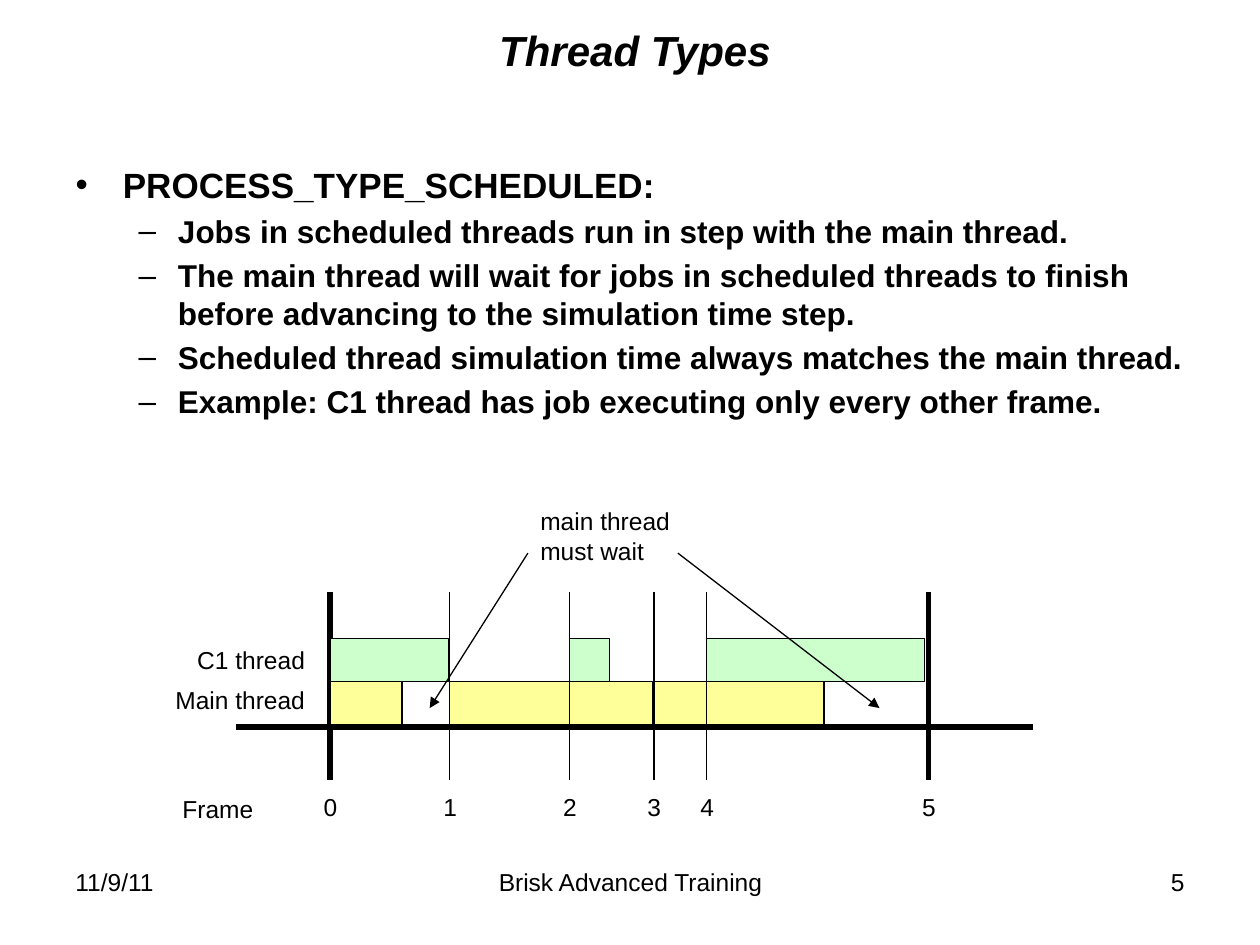
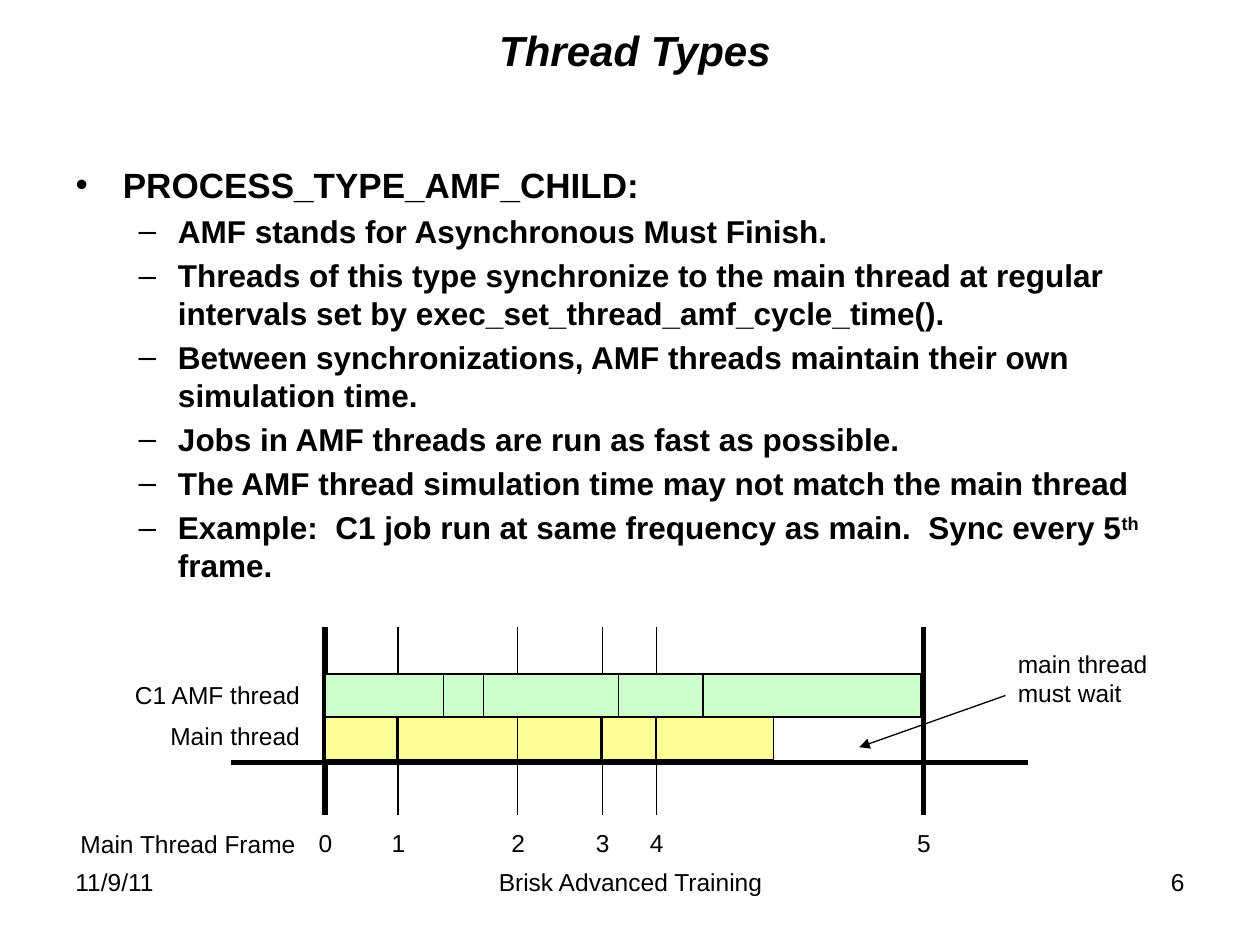
"""Builds two slides on thread types, each with a list and a frame timeline."""
from itertools import accumulate

from lxml.etree import SubElement
from pptx import Presentation
from pptx.dml.color import RGBColor
from pptx.enum.shapes import MSO_CONNECTOR, MSO_SHAPE
from pptx.enum.text import MSO_ANCHOR, MSO_AUTO_SIZE, PP_ALIGN
from pptx.oxml.ns import qn
from pptx.util import Inches, Pt

BLACK = RGBColor(0x00, 0x00, 0x00)
YELLOW = RGBColor(0xFF, 0xFF, 0x99)
GREEN = RGBColor(0xCC, 0xFF, 0xCC)
FONT = "Arial"
THIN, THICK = 0.75, 3
ROW_HEIGHT = 0.34
MAIN_DURATIONS = [0.57, 0.95, 0.66, 0.42, 0.93]


class ThreadDeck:
    """Holds the deck, its shared style and the current slide."""

    def __init__(self):
        self.deck = Presentation()
        self.deck.slide_width, self.deck.slide_height = Inches(10), Inches(7.5)
        self.page = None

    def add_page(self, title, number):
        """Start a slide with its title and footers."""
        self.page = self.deck.slides.add_slide(self.deck.slide_layouts[1])
        box = self.page.shapes.title
        self.place(box, 1, 0.17, 8.08, 0.45)
        box.text_frame.vertical_anchor = MSO_ANCHOR.MIDDLE
        box.text_frame.auto_size = MSO_AUTO_SIZE.NONE
        para = box.text_frame.paragraphs[0]
        para.alignment = PP_ALIGN.CENTER
        self.add_span(para, title, 24, bold=True, italic=True)
        self.add_text("11/9/11", 0.5, 6.83, 2.33, 0.52)
        self.add_text("Brisk Advanced Training", 3.42, 6.83, 3.17, 0.52, PP_ALIGN.CENTER)
        self.add_text(str(number), 7.17, 6.83, 2.33, 0.52, PP_ALIGN.RIGHT)

    def place(self, shape, left, top, width, height):
        """Move and size a shape, in inches."""
        shape.left, shape.top = Inches(left), Inches(top)
        shape.width, shape.height = Inches(width), Inches(height)

    def add_span(self, para, text, size=14, bold=False, italic=False):
        """Append one formatted run to a paragraph."""
        span = para.add_run()
        span.text = text
        span.font.name, span.font.size = FONT, Pt(size)
        span.font.bold, span.font.italic = bold, italic
        span.font.color.rgb = BLACK
        return span

    def add_text(self, text, left, top, width, height=ROW_HEIGHT, align=PP_ALIGN.LEFT):
        """Add a text box, with line breaks where the text has them."""
        box = self.page.shapes.add_textbox(
            Inches(left), Inches(top), Inches(width), Inches(height))
        box.text_frame.word_wrap = True
        para = box.text_frame.paragraphs[0]
        para.alignment = align
        for index, line in enumerate(text.split("\n")):
            if index:
                para.add_line_break()
            self.add_span(para, line)

    def add_list(self, heading, items):
        """Fill the body with a heading and second-level items of (text, raised) runs."""
        box = self.page.placeholders[1]
        self.place(box, 0.5, 1.25, 9, 5.45)
        box.text_frame.auto_size = MSO_AUTO_SIZE.NONE
        self.add_span(box.text_frame.paragraphs[0], heading, 20, bold=True)
        for item in items:
            para = box.text_frame.add_paragraph()
            para.level = 1
            runs = [(item, False)] if isinstance(item, str) else item
            for text, raised in runs:
                span = self.add_span(para, text, 18, bold=True)
                if raised:
                    span.font._element.set("baseline", "30000")

    def add_line(self, start, end, weight=THIN, arrow=False):
        """Add a straight line, with an arrowhead at its end on request."""
        line = self.page.shapes.add_connector(
            MSO_CONNECTOR.STRAIGHT, *(Inches(value) for value in start + end))
        line.line.color.rgb = BLACK
        line.line.width = Pt(weight)
        if arrow:
            SubElement(line.line._get_or_add_ln(), qn("a:tailEnd"), type="triangle")
        SubElement(line._element.spPr, qn("a:effectLst"))

    def add_bar(self, left, top, width, color):
        """Add one job bar."""
        bar = self.page.shapes.add_shape(
            MSO_SHAPE.RECTANGLE, Inches(left), Inches(top), Inches(width), Inches(ROW_HEIGHT))
        bar.shadow.inherit = False
        bar.fill.solid()
        bar.fill.fore_color.rgb = color
        bar.line.color.rgb = BLACK
        bar.line.width = Pt(THIN)

    def add_timeline(self, left, top, frames, child_jobs, child_name, frame_label):
        """Draw the axis, frame marks, both threads' bars and the labels."""
        child_top, main_top, axis = top + 0.37, top + 0.71, top + 1.07
        self.add_line((left - 0.75, axis), (left + 5.58, axis), THICK)
        for number, offset in enumerate(frames):
            mark = left + offset
            weight = THICK if offset in (frames[0], frames[-1]) else THIN
            self.add_line((mark, top), (mark, top + 1.49), weight)
            self.add_text(str(number), mark - 0.15, top + 1.54, 0.31)
        for offset, duration in zip(frames, MAIN_DURATIONS):
            self.add_bar(left + offset, main_top, duration, YELLOW)
        for offset, duration in child_jobs:
            self.add_bar(left + offset, child_top, duration, GREEN)
        for name, row in ((child_name, child_top), ("Main thread", main_top - 0.02)):
            self.add_text(name, left - 1.7, row, 1.6, align=PP_ALIGN.RIGHT)
        text, label_left, width = frame_label
        self.add_text(text, label_left, top + 1.55, width)

    def add_wait_note(self, left, top, arrows):
        """Add the waiting note and its arrows."""
        for start, end in arrows:
            self.add_line(start, end, arrow=True)
        self.add_text("main thread\nmust wait", left, top, 1.24, 0.57)


show = ThreadDeck()

show.add_page("Thread Types", 5)
show.add_list("PROCESS_TYPE_SCHEDULED:", [
    "Jobs in scheduled threads run in step with the main thread.",
    "The main thread will wait for jobs in scheduled threads to finish before "
    "advancing to the simulation time step.",
    "Scheduled thread simulation time always matches the main thread.",
    "Example: C1 thread has job executing only every other frame.",
])
scheduled_frames = [0, 0.95, 1.9, 2.57, 2.99, 4.75]
show.add_timeline(2.62, 4.7, scheduled_frames,
                  list(zip(scheduled_frames[::2], [0.94, 0.32, 1.73])),
                  "C1 thread", ("Frame", 1.35, 0.77))
show.add_wait_note(4.19, 3.97, [((4.19, 4.39), (3.41, 5.62)),
                                ((5.38, 4.39), (6.98, 5.62))])

show.add_page("Thread Types", 6)
show.add_list("PROCESS_TYPE_AMF_CHILD:", [
    "AMF stands for Asynchronous Must Finish.",
    "Threads of this type synchronize to the main thread at regular intervals "
    "set by exec_set_thread_amf_cycle_time().",
    "Between synchronizations, AMF threads maintain their own simulation time.",
    "Jobs in AMF threads are run as fast as possible.",
    "The AMF thread simulation time may not match the main thread",
    [("Example:  C1 job run at same frequency as main.  Sync every 5", False),
     ("th", True), (" frame.", False)],
])
child_durations = [0.94, 0.32, 1.07, 0.67, 1.73]
child_starts = accumulate(child_durations[:-1], initial=0)
show.add_timeline(2.58, 4.98, [0, 0.58, 1.53, 2.2, 2.63, 4.75],
                  list(zip(child_starts, child_durations)),
                  "C1 AMF thread", ("Main Thread Frame", 0.54, 1.92))
show.add_wait_note(7.98, 5.1, [((7.98, 5.52), (6.82, 5.93))])

show.deck.save("out.pptx")
